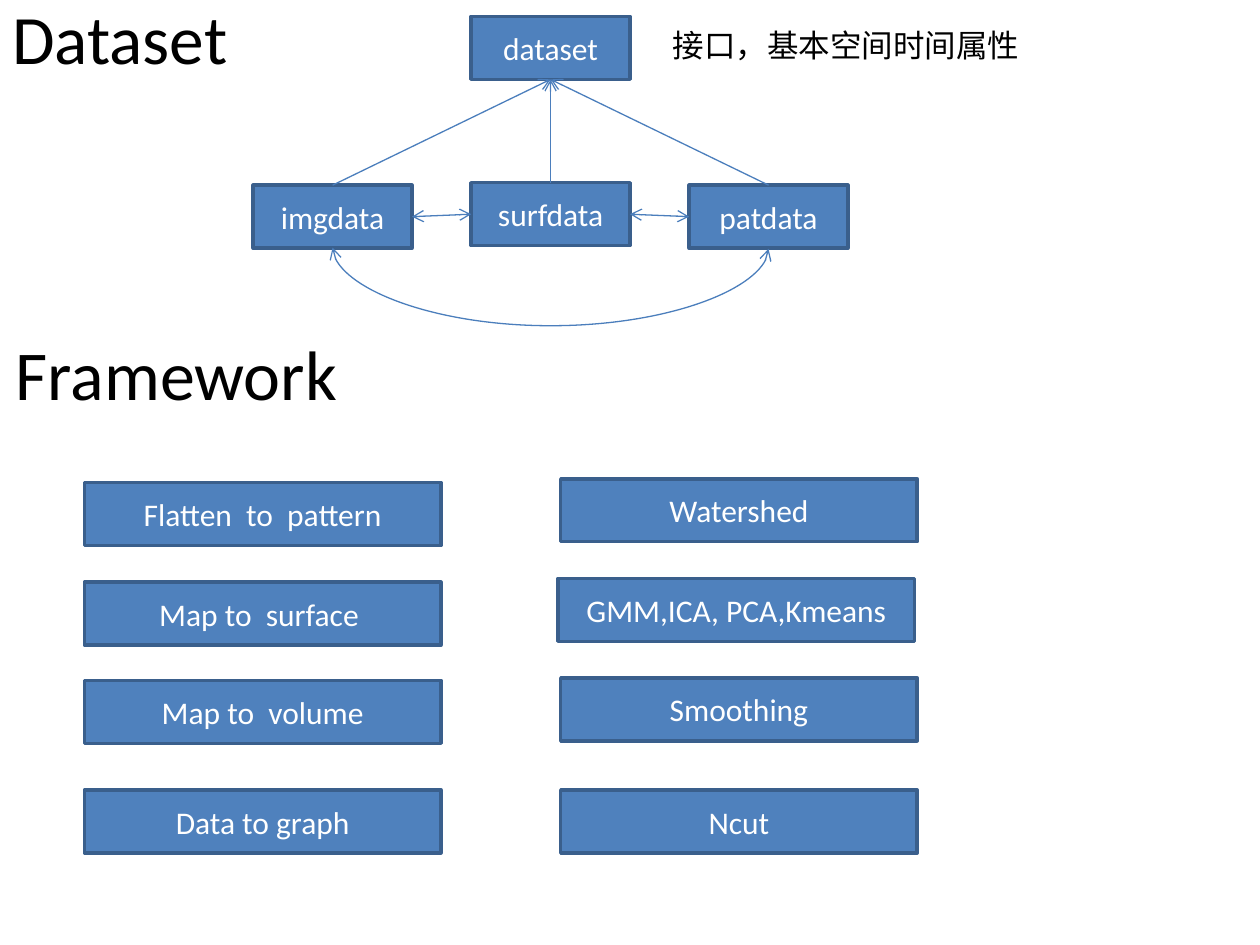
import pptx
import pptx.util
import pptx.dml.color
import pptx.enum.shapes
import pptx.enum.text
import pptx.oxml
import pptx.oxml.ns
import lxml.etree

Inches = pptx.util.Inches
Pt = pptx.util.Pt
PP_ALIGN = pptx.enum.text.PP_ALIGN
MSO_ANCHOR = pptx.enum.text.MSO_ANCHOR
MSO_CONNECTOR = pptx.enum.shapes.MSO_CONNECTOR
qn = pptx.oxml.ns.qn

BOX_HEIGHT = 0.5
DATA_WIDTH = 1.26
STEP_WIDTH = 2.83
TOP, LEFT, BOTTOM, RIGHT = range(4)


def color(value):
    return pptx.dml.color.RGBColor.from_string(value)


def set_text(sp, text, size, fill, align=PP_ALIGN.CENTER, anchor=MSO_ANCHOR.MIDDLE, wrap=True):
    tf = sp.text_frame
    tf.word_wrap = wrap
    tf.vertical_anchor = anchor
    p = tf.paragraphs[0]
    p.text = text
    p.alignment = align
    p.font.name = "Calibri"
    p.font.size = Pt(size)
    p.font.color.rgb = color(fill)


def place(sp, x, y, w, h):
    sp.left, sp.top, sp.width, sp.height = map(Inches, (x, y, w, h))


def add_title(s, text):
    sp = s.shapes.title
    place(sp, -0.04, -0.03, 1.98, 0.64)
    set_text(sp, text, 39.6, "000000")
    sp.text_frame.auto_size = pptx.enum.text.MSO_AUTO_SIZE.NONE


def add_label(s, text, x, y, w, h, size, **layout):
    sp = s.shapes.add_textbox(*map(Inches, (x, y, w, h)))
    set_text(sp, text, size, "000000", **layout)


def add_box(s, text, x, y, w):
    sp = s.shapes.add_shape(
        pptx.enum.shapes.MSO_SHAPE.RECTANGLE, *map(Inches, (x, y, w, BOX_HEIGHT))
    )
    sp.shadow.inherit = False
    sp.fill.solid()
    sp.fill.fore_color.rgb = color("4F81BD")
    sp.line.color.rgb = color("3A5F8C")
    sp.line.width = Pt(2)
    set_text(sp, text, 18, "FFFFFF")
    return sp


def style_connector(cxn, ends):
    cxn.line.color.rgb = color("4B7EBC")
    cxn.line.width = Pt(0.75)
    ln = cxn.line._get_or_add_ln()
    for end in ends:
        lxml.etree.SubElement(ln, qn("a:" + end), type="arrow")
    lxml.etree.SubElement(cxn._element.spPr, qn("a:effectLst"))


def add_arrow(s, start, start_side, finish, finish_side, ends):
    cxn = s.shapes.add_connector(MSO_CONNECTOR.STRAIGHT, 0, 0, 0, 0)
    cxn.begin_connect(start, start_side)
    cxn.end_connect(finish, finish_side)
    style_connector(cxn, ends)


def add_curve(s, x, y, span, depth):
    thickness = 0.01
    left, top = x + (span - thickness) / 2, y - span / 2
    cxn = s.shapes.add_connector(
        MSO_CONNECTOR.CURVE, *map(Inches, (left + thickness, top, left, top + span))
    )
    spPr = cxn._element.spPr
    spPr.find(qn("a:xfrm")).set("rot", str(270 * 60000))
    geom = spPr.find(qn("a:prstGeom"))
    guides = geom.find(qn("a:avLst"))
    if guides is None:
        guides = lxml.etree.SubElement(geom, qn("a:avLst"))
    ratio = round(depth / thickness * 100000)
    lxml.etree.SubElement(guides, qn("a:gd"), name="adj1", fmla=f"val {ratio}")
    style_connector(cxn, ("headEnd", "tailEnd"))


def add_dataset_diagram(s):
    dataset = add_box(s, "dataset", 3.74, 0.13, DATA_WIDTH)
    surf = add_box(s, "surfdata", 3.74, 1.45, DATA_WIDTH)
    img = add_box(s, "imgdata", 2.01, 1.47, DATA_WIDTH)
    pat = add_box(s, "patdata", 5.47, 1.47, DATA_WIDTH)
    add_label(s, "接口，基本空间时间属性", 5.24, 0.16, 2.98, 0.4, 18,
              align=PP_ALIGN.LEFT, anchor=MSO_ANCHOR.TOP, wrap=False)
    for child in (surf, img, pat):
        add_arrow(s, child, TOP, dataset, BOTTOM, ("tailEnd",))
    for left, right in ((img, surf), (surf, pat)):
        add_arrow(s, left, RIGHT, right, LEFT, ("headEnd", "tailEnd"))
    add_curve(s, 2.64, 1.97, 3.46, 0.63)


def add_framework(s):
    add_label(s, "Framework ", 0, 2.64, 2.8, 0.64, 40)
    steps = (
        ("Flatten  to  pattern", 0.67, 3.83),
        ("Map to  surface ", 0.67, 4.62),
        ("Map to  volume", 0.67, 5.4),
        ("Data to graph", 0.67, 6.27),
        ("Watershed", 4.45, 3.8),
        ("GMM,ICA, PCA,Kmeans", 4.43, 4.59),
        ("Smoothing", 4.45, 5.38),
        ("Ncut", 4.45, 6.27),
    )
    for text, x, y in steps:
        add_box(s, text, x, y, STEP_WIDTH)


def main():
    prs = pptx.Presentation()
    prs.slide_width, prs.slide_height = Inches(10), Inches(7.5)
    s = prs.slides.add_slide(prs.slide_layouts[5])
    add_title(s, "Dataset")
    add_dataset_diagram(s)
    add_framework(s)
    prs.save("out.pptx")


if __name__ == "__main__":
    main()
